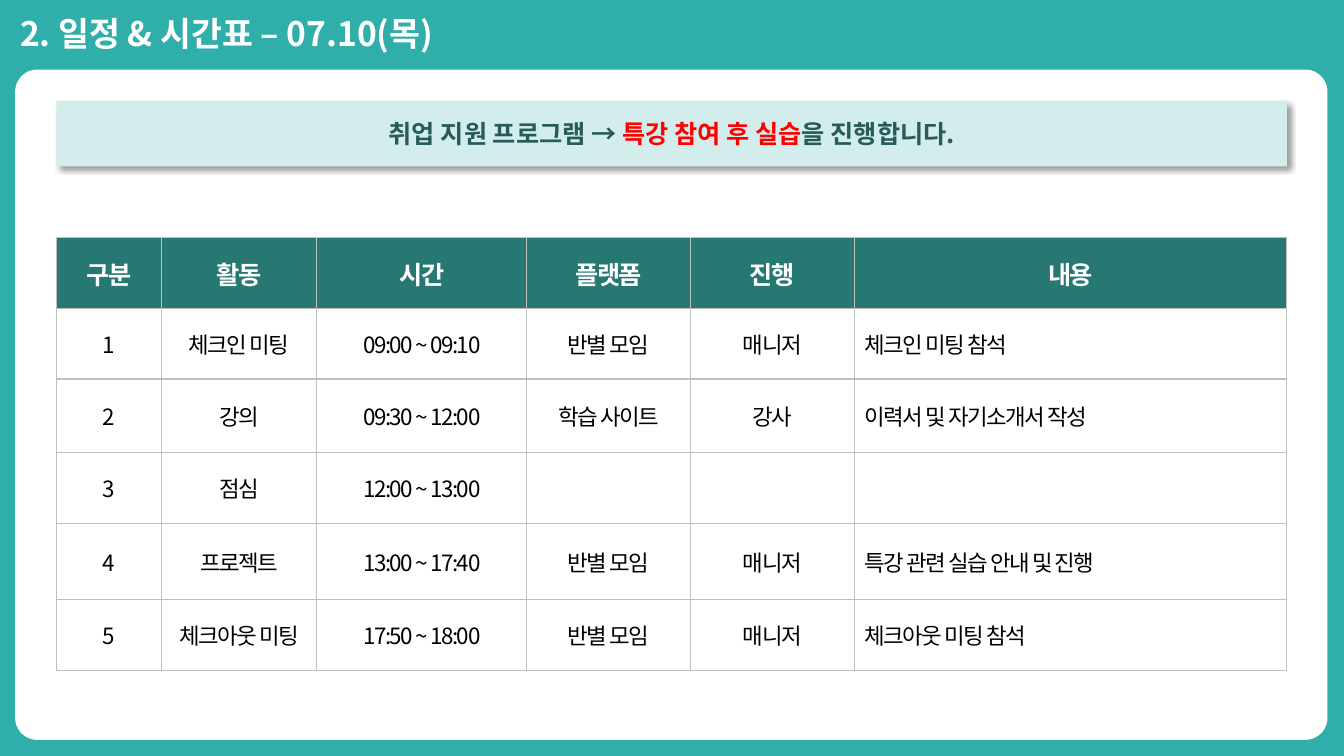
from pptx import Presentation
from pptx.dml.color import RGBColor
from pptx.enum.shapes import MSO_SHAPE
from pptx.enum.text import MSO_ANCHOR, MSO_AUTO_SIZE, PP_ALIGN
from pptx.oxml import parse_xml
from pptx.oxml.ns import nsdecls
from pptx.util import Pt

# Content
TITLE = "2. 일정 & 시간표 – 07.10(목)"
HEADERS = ("구분", "활동", "시간", "플랫폼", "진행", "내용")
SCHEDULE = (
    ("체크인 미팅", "09:00 ~ 09:10", "반별 모임", "매니저", "체크인 미팅 참석"),
    ("강의", "09:30 ~ 12:00", "학습 사이트", "강사", "이력서 및 자기소개서 작성"),
    ("점심", "12:00 ~ 13:00", "", "", ""),
    ("프로젝트", "13:00 ~ 17:40", "반별 모임", "매니저", "특강 관련 실습 안내 및 진행"),
    ("체크아웃 미팅", "17:50 ~ 18:00", "반별 모임", "매니저", "체크아웃 미팅 참석"),
)

# Style
FONT = "Noto Sans CJK KR"
TEAL = RGBColor(0x30, 0xAE, 0xAA)
PALE_TEAL = RGBColor(0xD3, 0xED, 0xEC)
DARK_TEAL = RGBColor(0x27, 0x5B, 0x5A)
HEADER_TEAL = RGBColor(0x27, 0x78, 0x72)
GREY = RGBColor(0xBF, 0xBF, 0xBF)
WHITE = RGBColor(0xFF, 0xFF, 0xFF)
BLACK = RGBColor(0, 0, 0)
RED = RGBColor(0xFF, 0, 0)
LEFT, CENTER = PP_ALIGN.LEFT, PP_ALIGN.CENTER
TOP, MIDDLE = MSO_ANCHOR.TOP, MSO_ANCHOR.MIDDLE
RECT, ROUNDED = MSO_SHAPE.RECTANGLE, MSO_SHAPE.ROUNDED_RECTANGLE

BANNER = (
    ("취업 지원 프로그램 → ", DARK_TEAL),
    ("특강 참여 후 실습", RED),
    ("을 진행합니다.", DARK_TEAL),
)

# Layout in points
PAGE_WIDTH, PAGE_HEIGHT = 960, 540
CONTENT_LEFT, CONTENT_WIDTH = 40.3, 879
TABLE_TOP = 169.9
COLUMN_WIDTHS = (75, 111, 150, 117, 117, 309)
ROW_HEIGHTS = (50.4, 50.4, 52.6, 50.4, 54.7, 50.4)


def add_span(para, text, size, color, bold, tracking=None):
    span = para.add_run()
    span.text = text
    for name, value in {"name": FONT, "size": Pt(size), "bold": bold}.items():
        setattr(span.font, name, value)
    span.font.color.rgb = color
    properties = span.font._element
    properties.append(parse_xml(f'<a:ea {nsdecls("a")} typeface="{FONT}"/>'))
    if tracking is not None:
        properties.set("spc", str(tracking * 100))


def add_panel(page, kind, left, top, width, height, color):
    panel = page.shapes.add_shape(kind, Pt(left), Pt(top), Pt(width), Pt(height))
    panel.shadow.inherit = False
    panel.fill.solid()
    panel.fill.fore_color.rgb = color
    panel.line.fill.background()
    return panel


def add_borders(cell):
    properties = cell._tc.get_or_add_tcPr()
    for side in ("lnL", "lnR", "lnT", "lnB"):
        properties.append(parse_xml(
            f'<a:{side} {nsdecls("a")} w="{Pt(1)}"><a:solidFill>'
            f'<a:srgbClr val="{GREY}"/></a:solidFill></a:{side}>'))


def add_title(page):
    title = page.shapes.title
    for name, value in {"left": 7.2, "top": 5.8, "width": 364.3, "height": 36}.items():
        setattr(title, name, Pt(value))
    frame = title.text_frame
    settings = {"vertical_anchor": TOP, "word_wrap": True,
                "auto_size": MSO_AUTO_SIZE.SHAPE_TO_FIT_TEXT}
    for name, value in settings.items():
        setattr(frame, name, value)
    para = frame.paragraphs[0]
    para.alignment = LEFT
    add_span(para, TITLE, 24, WHITE, True)


def add_banner(page):
    banner = add_panel(page, RECT, CONTENT_LEFT, 72, CONTENT_WIDTH, 46.8, PALE_TEAL)
    effects = banner._element.spPr.find("{*}effectLst")
    effects.append(parse_xml(
        f'<a:outerShdw {nsdecls("a")} blurRad="{Pt(4)}" dist="{Pt(3)}" '
        f'dir="{45 * 60000}" algn="tl" rotWithShape="0">'
        '<a:srgbClr val="000000"><a:alpha val="40000"/></a:srgbClr></a:outerShdw>'))
    frame = banner.text_frame
    frame.word_wrap = False
    frame.vertical_anchor = MIDDLE
    para = frame.paragraphs[0]
    para.alignment = CENTER
    for text, color in BANNER:
        add_span(para, text, 18, color, True)


def add_timetable(page):
    rows = [HEADERS] + [(str(n), *entry) for n, entry in enumerate(SCHEDULE, 1)]
    table = page.shapes.add_table(
        len(rows), len(HEADERS), Pt(CONTENT_LEFT), Pt(TABLE_TOP),
        Pt(sum(COLUMN_WIDTHS)), Pt(sum(ROW_HEIGHTS))).table
    table.horz_banding = False
    for column, width in zip(table.columns, COLUMN_WIDTHS):
        column.width = Pt(width)
    for r, (texts, height) in enumerate(zip(rows, ROW_HEIGHTS)):
        table.rows[r].height = Pt(height)
        is_header = r == 0
        size, color = (18, WHITE) if is_header else (16, BLACK)
        for c, text in enumerate(texts):
            cell = table.cell(r, c)
            add_borders(cell)
            cell.vertical_anchor = MIDDLE
            if is_header:
                cell.fill.solid()
                cell.fill.fore_color.rgb = HEADER_TEAL
            else:
                cell.fill.background()
            if text:
                para = cell.text_frame.paragraphs[0]
                is_detail = c == len(HEADERS) - 1 and not is_header
                para.alignment = LEFT if is_detail else CENTER
                add_span(para, text, size, color, is_header, tracking=-1)


def main():
    deck = Presentation()
    deck.slide_width, deck.slide_height = Pt(PAGE_WIDTH), Pt(PAGE_HEIGHT)
    page = deck.slides.add_slide(deck.slide_layouts[5])
    page.background.fill.solid()
    page.background.fill.fore_color.rgb = TEAL

    # Title, white card, banner and timetable
    add_title(page)
    card = add_panel(page, ROUNDED, 10.8, 49.7, 937.4, 478.8, WHITE)
    card.adjustments[0] = 0.033
    add_banner(page)
    add_timetable(page)
    deck.save("out.pptx")


if __name__ == "__main__":
    main()
